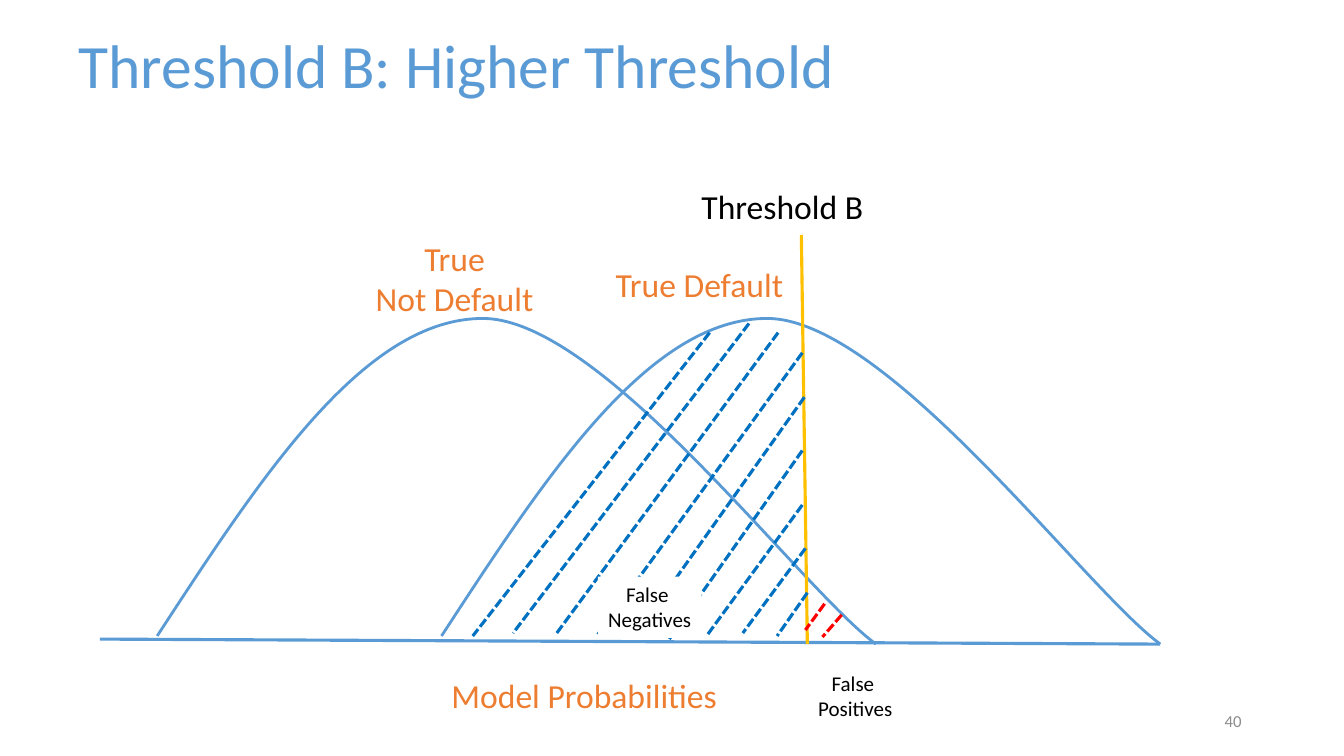
from pptx import Presentation
from pptx.dml.color import RGBColor
from pptx.enum.dml import MSO_LINE
from pptx.enum.shapes import MSO_CONNECTOR, MSO_SHAPE
from pptx.enum.text import MSO_ANCHOR, PP_ALIGN
from pptx.oxml.ns import qn
from pptx.util import Pt
from lxml import etree

STRAIGHT = MSO_CONNECTOR.STRAIGHT
RECTANGLE = MSO_SHAPE.RECTANGLE
DASH = MSO_LINE.SQUARE_DOT
LEFT, CENTER, RIGHT = PP_ALIGN.LEFT, PP_ALIGN.CENTER, PP_ALIGN.RIGHT
TOP, MIDDLE = MSO_ANCHOR.TOP, MSO_ANCHOR.MIDDLE

FONT = "Calibri"
BLUE = RGBColor(0x5B, 0x9B, 0xD5)
DARK_BLUE = RGBColor(0x00, 0x70, 0xC0)
ORANGE = RGBColor(0xED, 0x7D, 0x31)
GOLD = RGBColor(0xFF, 0xC0, 0x00)
RED = RGBColor(0xFF, 0x00, 0x00)
BLACK = RGBColor(0x00, 0x00, 0x00)
GRAY = RGBColor(0x8C, 0x8C, 0x8C)
WHITE = RGBColor(0xFF, 0xFF, 0xFF)

# Bell curve: start, then two Bezier segments of three points; x is relative
BELL = [(0, 454.3), (74.2, 340.6), (148, 226.8), (233.5, 227.5),
        (319.2, 229), (460, 421.2), (513.4, 460.1)]
NOT_DEFAULT_X, DEFAULT_X = 112.3, 315.4

# Hatch lines as x1, y1, x2, y2
FALSE_NEGATIVE_HATCH = [
    (506.9, 237.6, 337.7, 454.3), (535, 231.1, 366.5, 452.2),
    (555.8, 237.6, 396.7, 453.6), (573.1, 252, 426.2, 454.3),
    (574.6, 283.7, 455, 452.2), (573.1, 321.8, 478.1, 456.5),
    (573.1, 360.7, 504.7, 454.3), (575.3, 391.7, 530.6, 452.2),
    (576.7, 423.4, 555.1, 454.3)]
FALSE_POSITIVE_HATCH = [(589, 431.3, 575.3, 450), (601.2, 439.2, 587.5, 455)]


def write_text(shape, lines, size, color, align=LEFT, anchor=TOP, wrap=False,
               spacing=None):
    frame = shape.text_frame
    frame.word_wrap = wrap
    frame.vertical_anchor = anchor
    for index, line in enumerate(lines):
        paragraph = frame.paragraphs[0] if index == 0 else frame.add_paragraph()
        paragraph.alignment = align
        if spacing:
            paragraph.line_spacing = spacing
        run = paragraph.add_run()
        run.text = line
        run.font.name = FONT
        run.font.size = Pt(size)
        run.font.color.rgb = color


def add_text(slide, box, lines, size, color, **options):
    shape = slide.shapes.add_textbox(*map(Pt, box))
    write_text(shape, lines, size, color, **options)


def add_area_label(slide, box, lines):
    shape = slide.shapes.add_shape(RECTANGLE, *map(Pt, box))
    shape.shadow.inherit = False
    shape.fill.solid()
    shape.fill.fore_color.rgb = WHITE
    shape.line.fill.background()
    write_text(shape, lines, 15, BLACK, align=CENTER)


def add_line(slide, ends, color, dash=None):
    connector = slide.shapes.add_connector(STRAIGHT, *map(Pt, ends))
    connector.line.color.rgb = color
    connector.line.width = Pt(2.25)
    if dash:
        connector.line.dash_style = dash
    etree.SubElement(connector._element.spPr, qn("a:effectLst"))


def add_bell_curve(slide, left):
    points = [(Pt(left + x), Pt(y)) for x, y in BELL]
    builder = slide.shapes.build_freeform(*points[0], scale=1.0)
    builder.add_line_segments(points[1:], close=False)
    shape = builder.convert_to_shape()
    shape.shadow.inherit = False
    shape.fill.background()
    shape.line.color.rgb = BLUE
    shape.line.width = Pt(2)
    # Turn each three line segments into one cubic Bezier segment
    outline = shape._element.find(".//" + qn("a:path"))
    segments = outline.findall(qn("a:lnTo"))
    for start in range(0, len(segments), 3):
        curve = etree.SubElement(outline, qn("a:cubicBezTo"))
        for segment in segments[start:start + 3]:
            curve.append(segment[0])
            outline.remove(segment)


def main():
    presentation = Presentation()
    presentation.slide_width, presentation.slide_height = Pt(960), Pt(540)
    slide = presentation.slides.add_slide(presentation.slide_layouts[6])

    # Page number and title
    add_text(slide, (678, 500.4, 216, 28.8), ["40"], 12, GRAY,
             align=RIGHT, anchor=MIDDLE, wrap=True)
    add_text(slide, (49, 6.5, 856, 85), ["Threshold B: Higher Threshold"],
             44, BLUE, anchor=MIDDLE, wrap=True, spacing=0.9)

    # Axis, distributions and threshold
    add_line(slide, (71.3, 456.5, 828.7, 460.1), BLUE)
    add_bell_curve(slide, DEFAULT_X)
    add_text(slide, (432.7, 185, 135.4, 36), ["True Default"], 24, ORANGE)
    add_text(slide, (260.6, 166.3, 128.2, 65.5), ["True", "Not Default"],
             24, ORANGE, align=CENTER)
    add_bell_curve(slide, NOT_DEFAULT_X)
    add_line(slide, (572.4, 167.8, 576.7, 460.1), GOLD)
    add_text(slide, (493.9, 129.6, 131, 36), ["Threshold B"], 24, BLACK)

    # Hatched error areas
    for ends in FALSE_NEGATIVE_HATCH:
        add_line(slide, ends, DARK_BLUE, DASH)
    for ends in FALSE_POSITIVE_HATCH:
        add_line(slide, ends, RED, DASH)

    # Axis and area labels
    add_text(slide, (315.4, 478.8, 211.7, 36), ["Model Probabilities"],
             24, ORANGE)
    add_area_label(slide, (576.7, 475.2, 68.4, 43.9), ["False ", "Positives"])
    add_area_label(slide, (427, 411.8, 74.2, 43.9), ["False ", "Negatives"])

    presentation.save("out.pptx")


if __name__ == "__main__":
    main()
